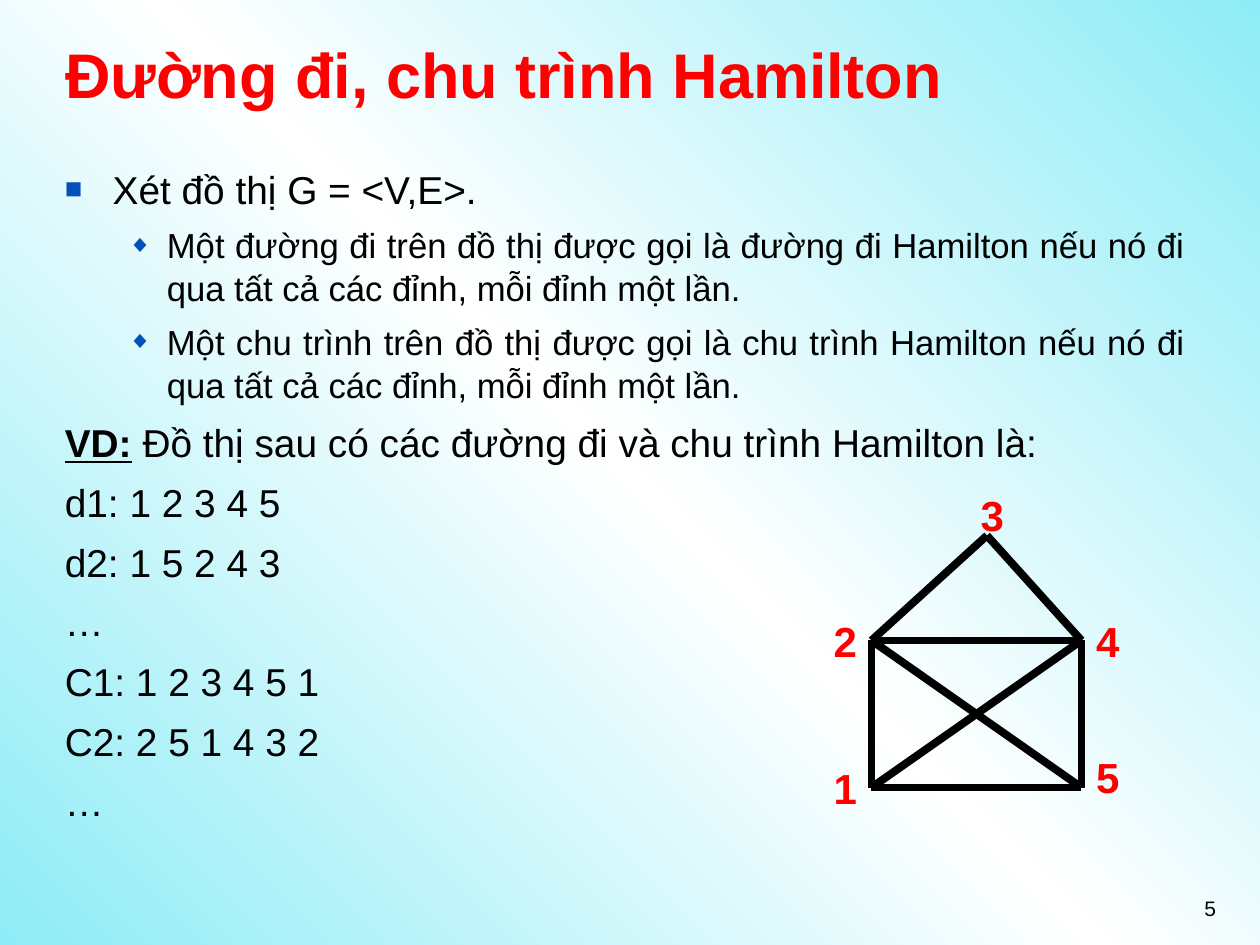
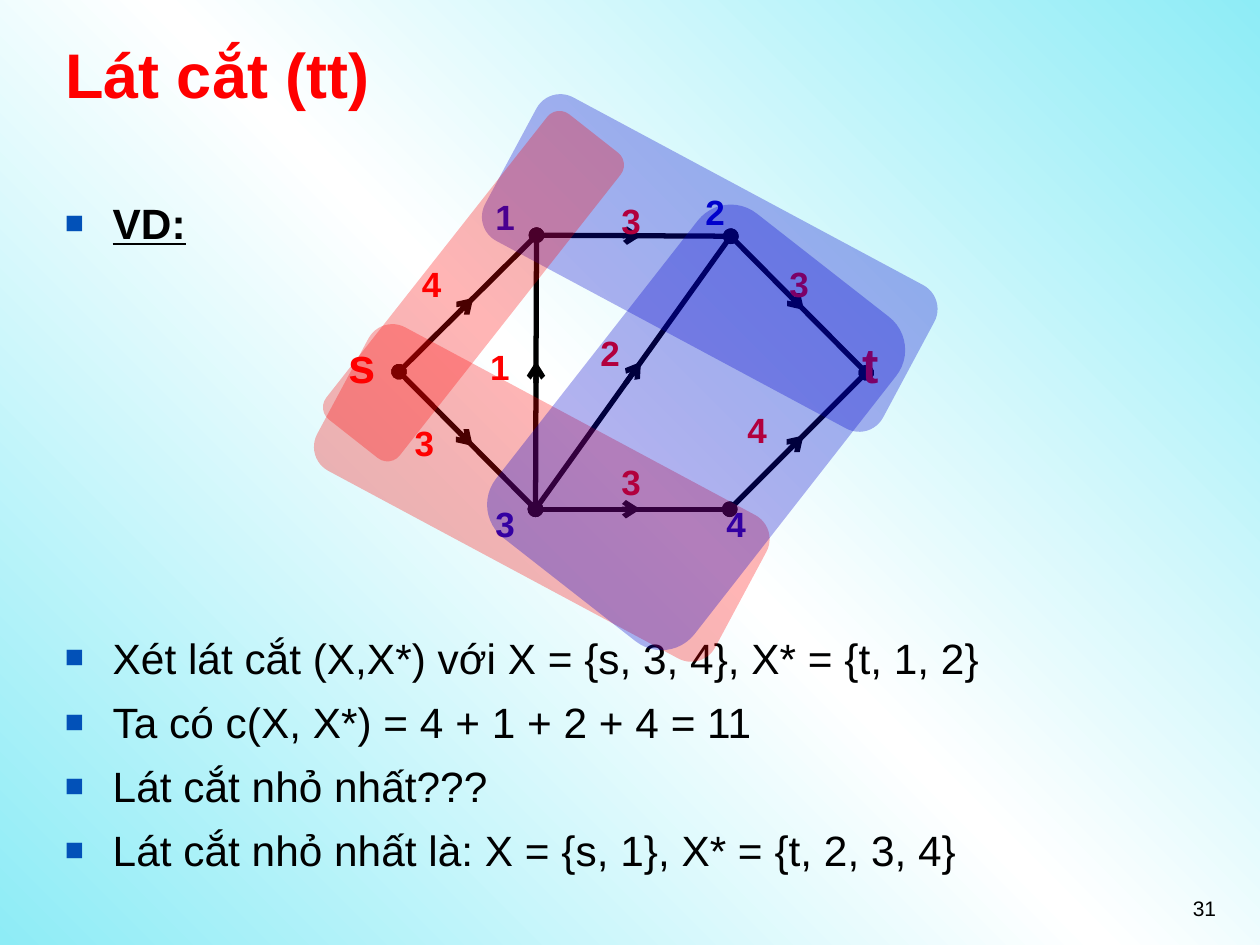
from lxml.etree import SubElement as Sub
from pptx import Presentation
from pptx.dml.color import RGBColor
from pptx.enum.shapes import MSO_CONNECTOR as Con, MSO_SHAPE as Kind
from pptx.enum.text import MSO_ANCHOR as Anchor, MSO_AUTO_SIZE as Fit, PP_ALIGN as Align
from pptx.oxml.ns import qn
from pptx.util import Inches, Pt

cell = Inches(1) / 12
cols, rows = 120, 90
red, blue, black, mark = "FF0000", "0000CC", "000000", "0251B8"
hue = RGBColor.from_string


def put(frame, text, size=20, color=black, bold=False, lead="", align=Align.LEFT,
        gap=0, lines=None, left=0, hang=0, sign="", scale=75):
    frame.word_wrap = True
    par = frame.paragraphs[0]
    if par.runs:
        par = frame.add_paragraph()
    par.alignment, par.space_before, par.line_spacing = align, Pt(gap), lines
    for part, first in ((lead, True), (text, False)):
        if part:
            run = par.add_run()
            run.text = part
            font = run.font
            font.name, font.size = "Arial", Pt(size)
            font.bold, font.underline = bold or first, first
            font.color.rgb = hue(color)
    prop = par._p.get_or_add_pPr()
    prop.set("marL", str(Inches(left)))
    prop.set("indent", str(Inches(-hang)))
    if sign:
        Sub(Sub(prop, qn("a:buClr")), qn("a:srgbClr"), val=mark)
        Sub(prop, qn("a:buSzPct"), val=str(scale * 1000))
        Sub(prop, qn("a:buFont"), typeface="Arial")
        Sub(prop, qn("a:buChar"), char=sign)


def join(slide, start, end, width, head="none", tail="none"):
    spots = [int(n * cell) for n in (*start, *end)]
    line = slide.shapes.add_connector(Con.STRAIGHT, *spots)
    line.line.color.rgb, line.line.width = hue(black), Pt(width)
    ends = line.element.find(".//" + qn("a:ln"))
    Sub(ends, qn("a:headEnd"), type=head)
    Sub(ends, qn("a:tailEnd"), type=tail)
    Sub(line.element.spPr, qn("a:effectLst"))


deck = Presentation()
deck.slide_width, deck.slide_height = int(cols * cell), int(rows * cell)

fill = deck.slide_master.background.fill
fill.gradient()
fill.gradient_angle = 45
stops = deck.slide_master.element.find(".//" + qn("a:gsLst"))
stops.clear()
for place, tint in ((0, "8EECF6"), (50, "FFFFFF"), (100, "8EECF6")):
    Sub(Sub(stops, qn("a:gs"), pos=str(place * 1000)), qn("a:srgbClr"), val=tint)

body = dict(align=Align.JUSTIFY, gap=6.5, lines=1.04, left=0.38, hang=0.38)
point = dict(body, sign="■")
minor = dict(body, size=19.8, gap=5.8, left=0.81, hang=0.31, sign="◆", scale=70)

pages = []
for name, page, top, tall in (("Đường đi, chu trình Hamilton", "5", 15, 62.4),
                              ("Lát cắt (tt)", "31", 18, 68)):
    slide = deck.slides.add_slide(deck.slide_layouts[5])
    title = slide.shapes.title
    title.left, title.top, title.width, title.height = [
        int(n * cell) for n in (5, 2, 109, 10)]
    frame = title.text_frame
    frame.auto_size, frame.vertical_anchor = Fit.NONE, Anchor.MIDDLE
    put(frame, name, size=36, color=red, bold=True)
    text = slide.shapes.add_textbox(*[int(n * cell) for n in (5, top, 109, tall)])
    foot = slide.shapes.add_textbox(*[int(n * cell) for n in (89, 84.7, 28, 5)])
    put(foot.text_frame, page, size=12, align=Align.RIGHT)
    pages.append((slide, text.text_frame))

slide, frame = pages[0]
put(frame, "Xét đồ thị G = <V,E>.", size=22.2, **point)
for term in ("đường đi", "chu trình"):
    put(frame, f"Một {term} trên đồ thị được gọi là {term} Hamilton nếu nó đi "
        "qua tất cả các đỉnh, mỗi đỉnh một lần.", **minor)
put(frame, " Đồ thị sau có các đường đi và chu trình Hamilton là:",
    lead="VD:", size=22.2, **body)
for walk in ("d1: 1 2 3 4 5", "d2: 1 5 2 4 3", "…",
             "C1: 1 2 3 4 5 1", "C2: 2 5 1 4 3 2", "…"):
    put(frame, walk, size=22.2, **body)

house = {"1": (83, 75), "2": (83, 61), "3": (94, 51), "4": (103, 61), "5": (103, 75)}
for a, b in ("21", "45", "15", "24", "43", "23", "14", "25"):
    join(slide, house[a], house[b], 4.5)
for tag, x, y in (("1", 76, 72), ("2", 76, 58), ("3", 90, 46),
                  ("4", 101, 58), ("5", 101, 71)):
    box = slide.shapes.add_textbox(*[int(n * cell) for n in (x, y, 9, 6)])
    put(box.text_frame, tag, size=24, color=red, bold=True, align=Align.CENTER)

slide, frame = pages[1]
put(frame, "", lead="VD:", size=24.2, **point)
put(frame, "Xét lát cắt (X,X*) với X = {s, 3, 4}, X* = {t, 1, 2}",
    size=24.2, **dict(point, gap=218))
for fact in ("Ta có c(X, X*) = 4 + 1 + 2 + 4 = 11", "Lát cắt nhỏ nhất???",
             "Lát cắt nhỏ nhất là: X = {s, 1}, X* = {t, 2, 3, 4}"):
    put(frame, fact, size=24.2, **point)

net = {"s": (38, 35.4), "1": (51.1, 22.4), "2": (69.6, 22.5),
       "3": (51, 48.5), "4": (69.5, 48.5), "t": (82.5, 35.5)}
for a, b in ("s1", "s3", "2t", "4t", "12", "34", "31", "32"):
    start, end = net[a], net[b]
    near, far = [[p + (q - p) * share for p, q in zip(start, end)]
                 for share in (0.46, 0.54)]
    join(slide, start, far, 3, "oval", "arrow")
    join(slide, near, end, 3, tail="oval")

tags = ((28, red, (("s", 32, 31.3), ("t", 81, 31.3))),
        (20, blue, (("1", 46, 18), ("2", 66, 17.6), ("3", 46, 47.3), ("4", 68, 47.3))),
        (20, red, (("4", 39, 24.4), ("3", 38.3, 39.6), ("3", 58, 18.4), ("2", 56, 31),
                   ("3", 58, 43.3), ("1", 45.5, 32.3), ("4", 70, 38.3), ("3", 74, 24.4))))
for size, tint, group in tags:
    for tag, x, y in group:
        box = slide.shapes.add_textbox(*[int(n * cell) for n in (x, y, 7, size / 4)])
        put(box.text_frame, tag, size=size, color=tint, bold=True)

for x, y, wide, tall, turn, tint, clear in (
        (30.1, 39.2, 43, 15.5, 28.2, red, 29), (46.1, 17.3, 43, 15.5, 28.2, blue, 30),
        (26.6, 22.8, 37, 8.9, 308.2, red, 29), (46.7, 28.7, 39.2, 24, 308, blue, 30)):
    cut = slide.shapes.add_shape(Kind.ROUNDED_RECTANGLE,
                                 *[int(n * cell) for n in (x, y, wide, tall)])
    cut.rotation, cut.shadow.inherit = turn, False
    cut.fill.solid()
    cut.fill.fore_color.rgb = hue(tint)
    cut.line.fill.background()
    shade = cut.element.spPr.find(".//" + qn("a:srgbClr"))
    Sub(shade, qn("a:alpha"), val=str(clear * 1000))

deck.save("out.pptx")
